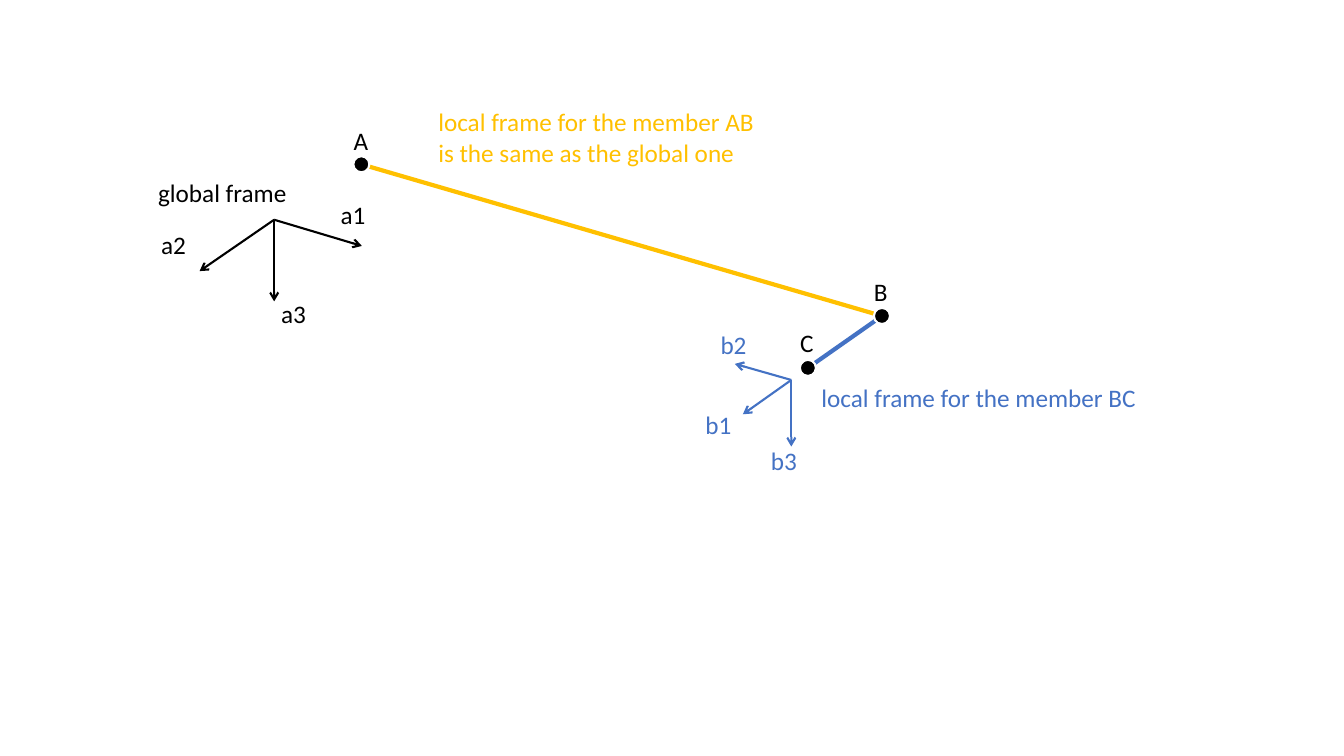
from lxml import etree
from pptx import Presentation
from pptx.dml.color import RGBColor
from pptx.enum.shapes import MSO_CONNECTOR, MSO_SHAPE
from pptx.enum.text import MSO_AUTO_SIZE
from pptx.oxml.ns import qn
from pptx.util import Inches, Pt

STRAIGHT = MSO_CONNECTOR.STRAIGHT
OVAL = MSO_SHAPE.OVAL
GROW = MSO_AUTO_SIZE.SHAPE_TO_FIT_TEXT

# The slide is a grid of square cells, 75 rows high
ROWS = 75
HEIGHT = Inches(7.5)
WIDTH = Inches(13.333)
BLACK, WHITE, GOLD, BLUE = "000000", "FFFFFF", "FFC000", "4472C4"
DOT = 1.6
LINE_HEIGHT = 4

# Joints: name -> (centre, label corner)
JOINTS = {
    "A": ((35.85, 16.3), (34.1, 11.9)),
    "B": ((87.5, 31.35), (85.7, 26.9)),
    "C": ((80.15, 36.5), (78.4, 32)),
}
MEMBERS = [("A", "B", GOLD), ("B", "C", BLUE)]

# Frames: colour, origin, label width, axes as (name, direction, label corner)
FRAMES = [
    (BLACK, (27.2, 21.8), 4.5, [
        ("a1", (8.7, 2.6), (32.8, 19.3)),
        ("a2", (-7.4, 5.1), (15, 22.3)),
        ("a3", (0, 8.1), (26.9, 29.1)),
    ]),
    (BLUE, (78.5, 37.7), 4.6, [
        ("b1", (-4.8, 3.4), (69, 40.1)),
        ("b2", (-5.6, -1.6), (70.5, 32.2)),
        ("b3", (0, 6.6), (75.5, 43.7)),
    ]),
]

# Captions: text, corner, width, lines, colour
CAPTIONS = [
    ("local frame for the member BC", (80.5, 37.4), 33.6, 1, BLUE),
    ("global frame", (14.7, 17.1), 14.9, 1, BLACK),
    ("local frame for the member AB is the same as the global one",
     (42.5, 10.1), 33.6, 2, GOLD),
]


def cells(*counts):
    return [round(count * HEIGHT / ROWS) for count in counts]


def colour(value):
    return RGBColor.from_string(value)


def set_all(target, values):
    for name, value in values.items():
        setattr(target, name, value)


def add_line(shapes, start, end, hue, weight, arrow=False):
    line = shapes.add_connector(STRAIGHT, *cells(*start, *end))
    line.line.color.rgb = colour(hue)
    line.line.width = Pt(weight)
    if arrow:
        etree.SubElement(line.line._get_or_add_ln(), qn("a:tailEnd"), type="arrow")
    etree.SubElement(line._element.spPr, qn("a:effectLst"))


def add_dot(shapes, centre):
    x, y = centre
    dot = shapes.add_shape(OVAL, *cells(x - DOT / 2, y - DOT / 2, DOT, DOT))
    dot.shadow.inherit = False
    dot.fill.solid()
    dot.fill.fore_color.rgb = colour(BLACK)
    dot.line.color.rgb = colour(WHITE)
    dot.line.width = Pt(1.5)


def add_label(shapes, text, corner, width, hue, lines=1):
    height = LINE_HEIGHT + 3.1 * (lines - 1)
    box = shapes.add_textbox(*cells(*corner, width, height))
    set_all(box.text_frame, {"word_wrap": lines > 1, "auto_size": GROW})
    span = box.text_frame.paragraphs[0].add_run()
    span.text = text
    set_all(span.font, {"name": "Calibri", "size": Pt(18)})
    span.font.color.rgb = colour(hue)


def add_frame(shapes, hue, origin, label_width, axes):
    arrows = shapes.add_group_shape().shapes
    for name, (dx, dy), corner in axes:
        tip = (origin[0] + dx, origin[1] + dy)
        add_line(arrows, origin, tip, hue, 1.5, arrow=True)
        add_label(shapes, name, corner, label_width, hue)


def main():
    deck = Presentation()
    set_all(deck, {"slide_width": WIDTH, "slide_height": HEIGHT})
    page = deck.slides.add_slide(deck.slide_layouts[6])
    shapes = page.shapes

    # Members, with the joints on top
    for first, last, hue in MEMBERS:
        add_line(shapes, JOINTS[first][0], JOINTS[last][0], hue, 3)
    for name, (centre, corner) in JOINTS.items():
        add_dot(shapes, centre)
        add_label(shapes, name, corner, 3.5, BLACK)

    # Global and local frames
    for frame in FRAMES:
        add_frame(shapes, *frame)

    # Captions
    for text, corner, width, lines, hue in CAPTIONS:
        add_label(shapes, text, corner, width, hue, lines)

    deck.save("out.pptx")


if __name__ == "__main__":
    main()
